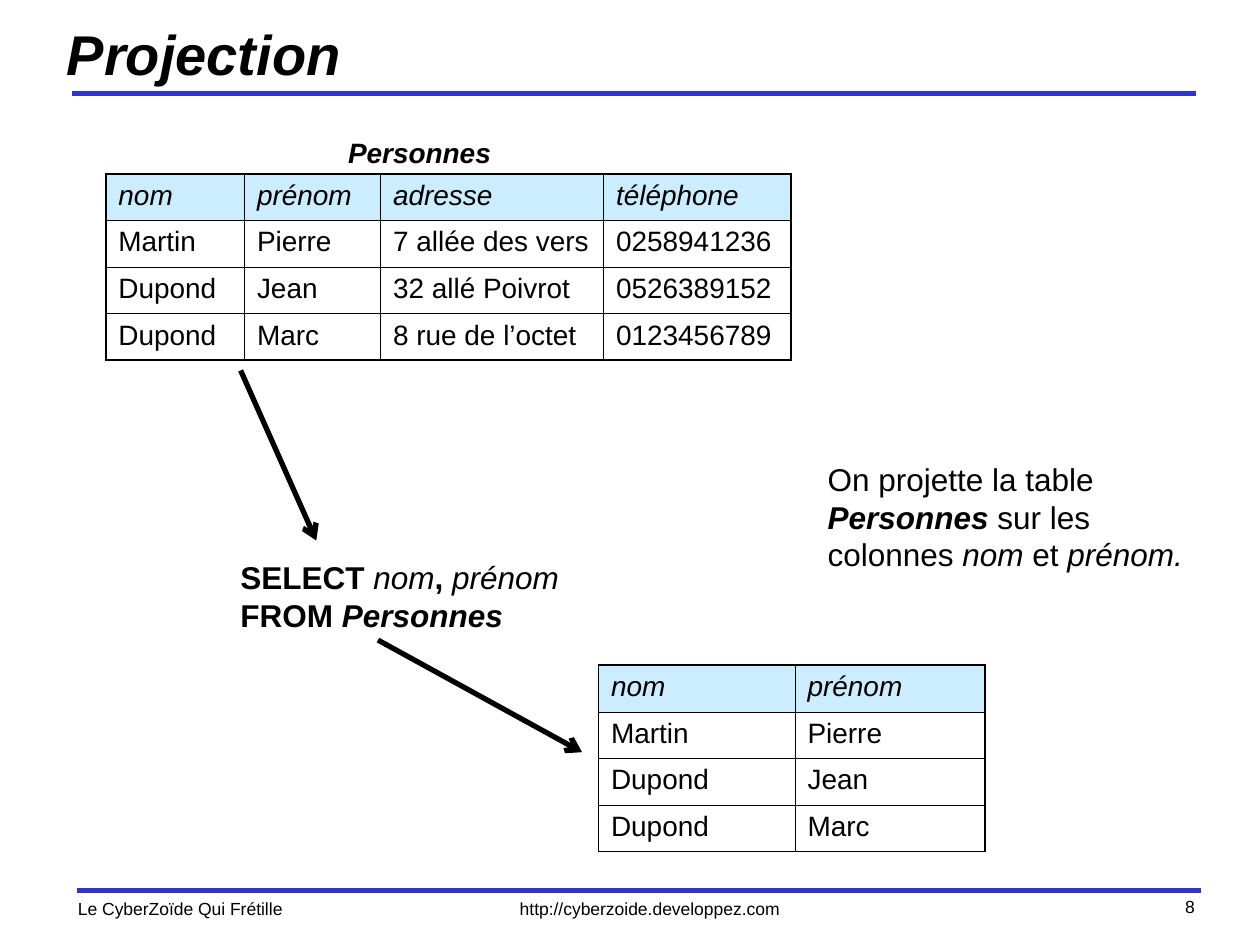
from lxml.etree import SubElement
from pptx import Presentation
from pptx.dml.color import RGBColor
from pptx.enum.shapes import MSO_CONNECTOR as Connector
from pptx.enum.text import MSO_ANCHOR as Anchor, PP_ALIGN as Align
from pptx.oxml.ns import qn
from pptx.util import Inches, Pt

BLACK, RULE_BLUE, HEADER_BLUE = "000000", "3333CC", "CCECFF"
OUTER_BORDER, INNER_BORDER = 1.08, 0.45
ROW_HEIGHT = 0.37


def color(hex_string):
    """Turn a hex string into a colour."""
    return RGBColor.from_string(hex_string)


def add_runs(paragraph, runs, size):
    """Add (text, style) runs, where style holds b for bold and i for italic."""
    for text, style in runs:
        run = paragraph.add_run()
        run.text = text
        font = run.font
        font.name, font.size = "Arial", Pt(size)
        font.bold, font.italic = "b" in style, "i" in style
        font.color.rgb = color(BLACK)


def add_text(slide, box, lines, size, align=Align.LEFT):
    """Place a wrapped text box with one paragraph per line."""
    frame = slide.shapes.add_textbox(*map(Inches, box)).text_frame
    frame.word_wrap = True
    for index, runs in enumerate(lines):
        paragraph = frame.add_paragraph() if index else frame.paragraphs[0]
        paragraph.alignment = align
        add_runs(paragraph, runs, size)


def add_line(slide, start, end, line_color, arrow=False):
    """Draw a straight line, with an open arrowhead at its end on request."""
    connector = slide.shapes.add_connector(
        Connector.STRAIGHT, *map(Inches, (*start, *end)))
    connector.line.color.rgb = color(line_color)
    connector.line.width = Pt(3)
    properties = connector._element.spPr
    if arrow:
        SubElement(properties.find(qn("a:ln")), qn("a:tailEnd"), type="arrow")
    SubElement(properties, qn("a:effectLst"))


def add_border(cell, side, width):
    """Give one side of a cell a solid black border."""
    border = SubElement(cell._tc.get_or_add_tcPr(), qn(f"a:ln{side}"),
                        w=str(Pt(width)))
    fill = SubElement(border, qn("a:solidFill"))
    SubElement(fill, qn("a:srgbClr"), val=BLACK)


def add_relation(slide, left, top, widths, rows):
    """Place a relation as a table whose first row names the columns."""
    table = slide.shapes.add_table(
        len(rows), len(widths), Inches(left), Inches(top),
        Inches(sum(widths)), Inches(ROW_HEIGHT * len(rows))).table
    table.first_row = table.horz_banding = False
    for column, width in zip(table.columns, widths):
        column.width = Inches(width)
    last_row, last_column = len(rows) - 1, len(widths) - 1
    for r, values in enumerate(rows):
        table.rows[r].height = Inches(ROW_HEIGHT)
        for c, value in enumerate(values):
            cell = table.cell(r, c)
            edges = {"L": c == 0, "R": c == last_column,
                     "T": r == 0, "B": r == last_row}
            for side, is_outer in edges.items():
                add_border(cell, side, OUTER_BORDER if is_outer else INNER_BORDER)
            if r == 0:
                cell.fill.solid()
                cell.fill.fore_color.rgb = color(HEADER_BLUE)
            else:
                cell.fill.background()
            style = "i" if r == 0 else ""
            add_runs(cell.text_frame.paragraphs[0], [(value, style)], 16)


def add_header(slide, box, text):
    """Place the title and the rule beneath it."""
    title = slide.shapes.title
    title.left, title.top, title.width, title.height = map(Inches, box)
    title.text_frame.vertical_anchor = Anchor.MIDDLE
    paragraph = title.text_frame.paragraphs[0]
    paragraph.alignment = Align.LEFT
    add_runs(paragraph, [(text, "bi")], 32)
    left, top, width, height = box
    rule_y = top + height - 0.02
    add_line(slide, (left + 0.14, rule_y), (left + width + 0.1, rule_y), RULE_BLUE)


def add_footer(slide, box):
    """Place the footer rule, author, address and page number."""
    left, top, width, height = box
    add_line(slide, (left, top), (left + width, top), RULE_BLUE)
    parts = [
        (0.52, 0.01, 3.01, "Le CyberZoïde Qui Frétille", Align.LEFT),
        (3.65, 0.01, 3.01, "http://cyberzoide.developpez.com", Align.CENTER),
        (7.5, -0.01, 2.08, "8", Align.RIGHT),
    ]
    for part_left, offset, part_width, text, align in parts:
        add_text(slide, (part_left, top + offset, part_width, height),
                 [[(text, "")]], 10, align)


def build_projection(slide):
    """Place the source relation, the query, its result and the comment."""
    people = [
        ("nom", "prénom", "adresse", "téléphone"),
        ("Martin", "Pierre", "7 allée des vers", "0258941236"),
        ("Dupond", "Jean", "32 allé Poivrot", "0526389152"),
        ("Dupond", "Marc", "8 rue de l’octet", "0123456789"),
    ]
    projected = [row[:2] for row in people]
    query = [
        [("SELECT ", "b"), ("nom", "i"), (", ", "b"), ("prénom", "i")],
        [("FROM ", "b"), ("Personnes", "bi")],
    ]
    comment = [("On projette la table ", ""), ("Personnes", "bi"),
               (" sur les colonnes ", ""), ("nom", "i"), (" et ", ""),
               ("prénom.", "i")]
    add_relation(slide, 0.84, 1.38, (1.1, 1.08, 1.77, 1.49), people)
    add_text(slide, (1.48, 1.03, 3.7, 0.37), [[("Personnes", "bi")]], 16,
             Align.CENTER)
    add_text(slide, (1.81, 4.38, 3.63, 0.7), query, 18)
    add_relation(slide, 4.75, 5.28, (1.56, 1.51), projected)
    add_line(slide, (1.91, 2.94), (2.51, 4.29), BLACK, arrow=True)
    add_line(slide, (3, 5.08), (4.62, 5.97), BLACK, arrow=True)
    add_text(slide, (6.47, 3.6, 3.19, 1), [comment], 18)


def main():
    """Build and save the slide."""
    deck = Presentation()
    deck.slide_width, deck.slide_height = Inches(10), Inches(7.5)
    slide = deck.slides.add_slide(deck.slide_layouts[5])
    add_header(slide, (0.43, 0.09, 8.96, 0.67), "Projection")
    build_projection(slide)
    add_footer(slide, (0.61, 7.07, 8.92, 0.27))
    deck.save("out.pptx")


if __name__ == "__main__":
    main()
